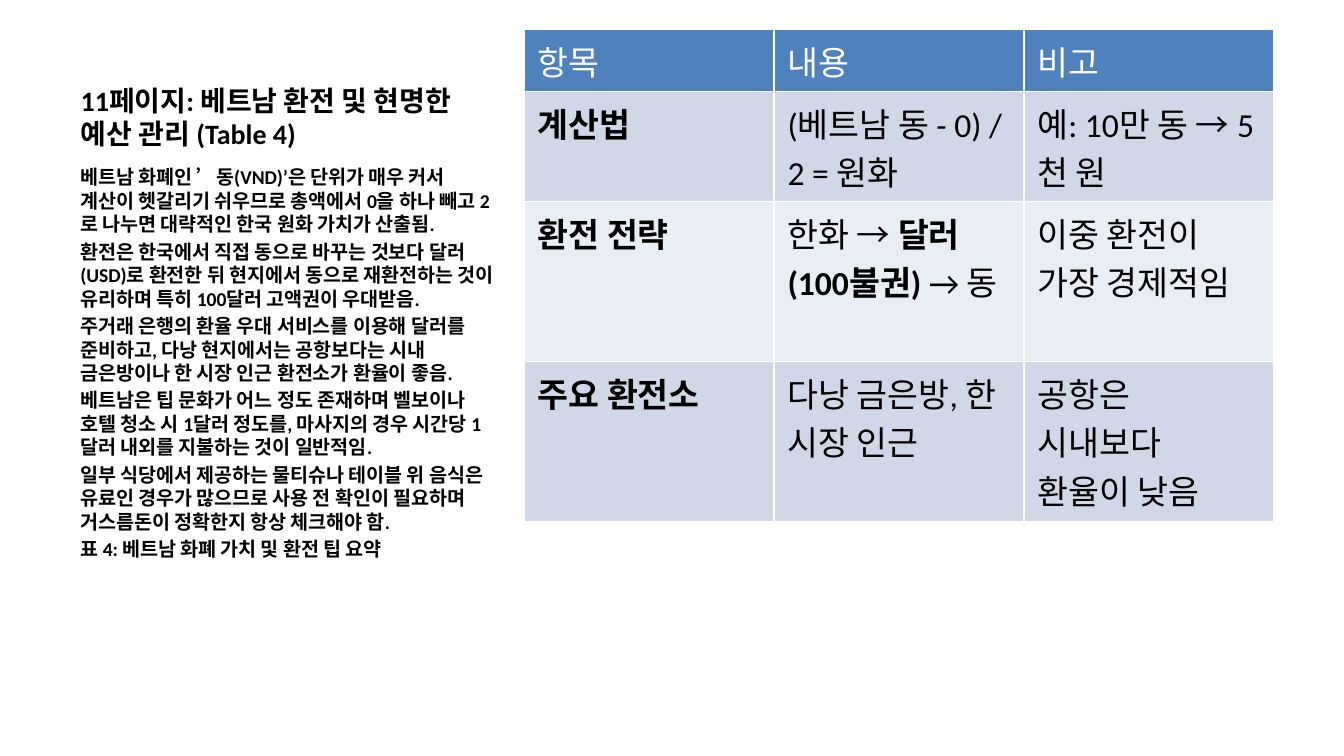
from dataclasses import dataclass

from pptx import Presentation
from pptx import util as u
from pptx.dml.color import RGBColor
from pptx.enum import text

FONT = "Calibri"
BLACK, WHITE = "000000", "FFFFFF"
HEADER_FILL = "4F81BD"
BAND_FILLS = ("D0D8E8", "E9EDF4")


@dataclass(frozen=True)
class Box:
    left: float
    top: float
    width: float
    height: float


@dataclass(frozen=True)
class Row:
    height: float
    cells: tuple


TITLE = "11페이지: 베트남 환전 및 현명한 예산 관리 (Table 4)"
TITLE_BOX = Box(0.5, 0.22, 3.29, 0.95)
BODY_BOX = Box(0.5, 1.18, 3.29, 3.85)
TABLE_BOX = Box(3.9, 0.22, 5.58, 3.66)

BODY = (
    "베트남 화폐인 ’동(VND)’은 단위가 매우 커서 계산이 헷갈리기 쉬우므로 총액에서 0을 하나 빼고 2로 나누면 대략적인 한국 원화 가치가 산출됨.",
    "환전은 한국에서 직접 동으로 바꾸는 것보다 달러(USD)로 환전한 뒤 현지에서 동으로 재환전하는 것이 유리하며 특히 100달러 고액권이 우대받음.",
    "주거래 은행의 환율 우대 서비스를 이용해 달러를 준비하고, 다낭 현지에서는 공항보다는 시내 금은방이나 한 시장 인근 환전소가 환율이 좋음.",
    "베트남은 팁 문화가 어느 정도 존재하며 벨보이나 호텔 청소 시 1달러 정도를, 마사지의 경우 시간당 1달러 내외를 지불하는 것이 일반적임.",
    "일부 식당에서 제공하는 물티슈나 테이블 위 음식은 유료인 경우가 많으므로 사용 전 확인이 필요하며 거스름돈이 정확한지 항상 체크해야 함.",
    "표 4: 베트남 화폐 가치 및 환전 팁 요약",
)

ROWS = (
    Row(0.46, ("항목", "내용", "비고")),
    Row(0.82, ("계산법", "(베트남 동 - 0) / 2 = 원화", "예: 10만 동 → 5천 원")),
    Row(1.19, ("환전 전략", ("한화 → ", "달러(100불권)", " → 동"), "이중 환전이 가장 경제적임")),
    Row(1.19, ("주요 환전소", "다낭 금은방, 한 시장 인근", "공항은 시내보다 환율이 낮음")),
)


def rgb(value: str) -> RGBColor:
    return RGBColor.from_string(value)


def lengths(box: Box) -> tuple:
    return tuple(u.Inches(v) for v in (box.left, box.top, box.width, box.height))


def style(font, size: float, color: str = BLACK, bold: bool = False) -> None:
    font.name = FONT
    font.size = u.Pt(size)
    font.color.rgb = rgb(color)
    font.bold = bold


def add_title(s) -> None:
    sp = s.shapes.title
    sp.left, sp.top, sp.width, sp.height = lengths(TITLE_BOX)
    tf = sp.text_frame
    tf.text = TITLE
    tf.word_wrap = True
    tf.auto_size = text.MSO_AUTO_SIZE.NONE
    tf.vertical_anchor = text.MSO_ANCHOR.BOTTOM
    p = tf.paragraphs[0]
    p.alignment = text.PP_ALIGN.LEFT
    style(p.font, 15, bold=True)


def add_body(s) -> None:
    tf = s.shapes.add_textbox(*lengths(BODY_BOX)).text_frame
    tf.word_wrap = True
    tf.text = "\n".join(BODY)
    for p in tf.paragraphs:
        p.space_before = u.Pt(2.1)
        style(p.font, 10.5, bold=True)


def fill_cell(cell, content, fill: str, color: str, bold: bool) -> None:
    cell.fill.solid()
    cell.fill.fore_color.rgb = rgb(fill)
    p = cell.text_frame.paragraphs[0]
    parts = (content,) if isinstance(content, str) else content
    for i, part in enumerate(parts):
        r = p.add_run()
        r.text = part
        style(r.font, 18, color, bold or i == 1)


def add_tips_table(s) -> None:
    columns = len(ROWS[0].cells)
    table = s.shapes.add_table(len(ROWS), columns, *lengths(TABLE_BOX)).table
    for column in table.columns:
        column.width = u.Inches(TABLE_BOX.width / columns)
    for i, row in enumerate(ROWS):
        table.rows[i].height = u.Inches(row.height)
        header = i == 0
        fill = HEADER_FILL if header else BAND_FILLS[(i - 1) % 2]
        color = WHITE if header else BLACK
        for j, content in enumerate(row.cells):
            fill_cell(table.cell(i, j), content, fill, color, not header and j == 0)


def main() -> None:
    prs = Presentation()
    prs.slide_width = u.Inches(10)
    prs.slide_height = u.Inches(10 * 9 / 16)
    s = prs.slides.add_slide(prs.slide_layouts[5])
    add_title(s)
    add_body(s)
    add_tips_table(s)
    prs.save("out.pptx")


if __name__ == "__main__":
    main()
